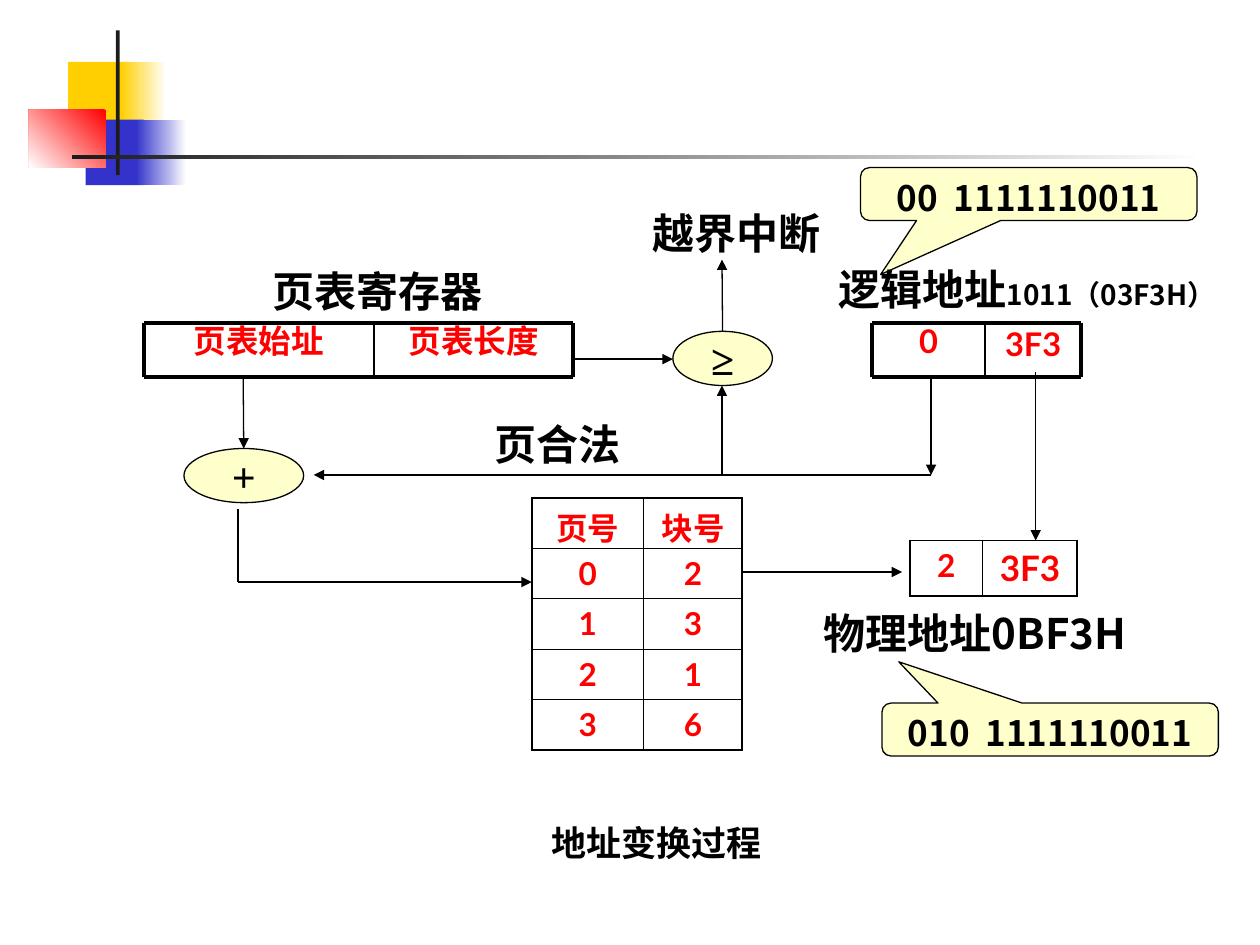
from lxml import etree
from pptx import Presentation
from pptx.dml.color import RGBColor
from pptx.enum import shapes, text
from pptx.oxml import ns
from pptx.util import Inches, Pt

BLACK = RGBColor(0x00, 0x00, 0x00)
WHITE = RGBColor(0xFF, 0xFF, 0xFF)
RED = RGBColor(0xFF, 0x00, 0x00)
YELLOW = RGBColor(0xFF, 0xCF, 0x01)
BLUE = RGBColor(0x33, 0x33, 0xCC)
CHARCOAL = RGBColor(0x1C, 0x1C, 0x1C)
CREAM = RGBColor(0xFF, 0xFF, 0xCC)
SERIF, SANS, CJK = "Times New Roman", "Lato", "Noto Sans CJK SC"
LEFT, CENTER, RIGHT = (text.PP_ALIGN.LEFT, text.PP_ALIGN.CENTER,
                       text.PP_ALIGN.RIGHT)

deck = Presentation()
deck.slide_width, deck.slide_height = Inches(10), Inches(7.5)
page = deck.slides.add_slide(deck.slide_layouts[6])


def write(frame, spans, font, color=BLACK, align=CENTER, spacing=None):
    """Fill a text frame with one bold paragraph of (words, points) spans."""
    para = frame.paragraphs[0]
    para.alignment = align
    if spacing:
        para.line_spacing = spacing
    for words, points in spans:
        span = para.add_run()
        span.text = words
        values = {"name": font, "size": Pt(points), "bold": True}
        for key, value in values.items():
            setattr(span.font, key, value)
        span.font.color.rgb = color
        latin = span.font._element.find(ns.qn("a:latin"))
        latin.addnext(latin.makeelement(ns.qn("a:ea"), {"typeface": CJK}))


def connect(x1, y1, x2, y2, points=0.75, arrow=False):
    line = page.shapes.add_connector(
        shapes.MSO_CONNECTOR.STRAIGHT,
        Inches(x1), Inches(y1), Inches(x2), Inches(y2))
    line.line.color.rgb = BLACK
    line.line.width = Pt(points)
    if arrow:
        etree.SubElement(line.line._get_or_add_ln(), ns.qn("a:tailEnd"),
                         type="triangle")
    etree.SubElement(line._element.spPr, ns.qn("a:effectLst"))
    return line


# Corner decoration: place, gradient stops (one for solid), angle
decoration = [
    ((0.54, 0.49, 0.48, 0.52), [YELLOW], 0),
    ((0.96, 0.49, 0.36, 0.52), [WHITE, YELLOW], 180),
    ((0.68, 0.95, 0.46, 0.52), [BLUE], 0),
    ((1.08, 0.95, 0.4, 0.52), [WHITE, BLUE], 180),
    ((0.23, 0.87, 0.61, 0.46), [RED, WHITE], 225),
    ((0.92, 0.24, 0.03, 1.15), [CHARCOAL], 0),
    ((0.57, 1.23, 9, 0.03), [WHITE, CHARCOAL], 180),
]
for place, colors, angle in decoration:
    block = page.shapes.add_shape(shapes.MSO_SHAPE.RECTANGLE,
                                  *map(Inches, place))
    block.shadow.inherit = False
    block.line.fill.background()
    if len(colors) == 1:
        block.fill.solid()
        block.fill.fore_color.rgb = colors[0]
    else:
        block.fill.gradient()
        block.fill.gradient_angle = angle
        for stop, color in zip(block.fill.gradient_stops, colors):
            stop.color.rgb = color

# Operators and callouts
OVAL = shapes.MSO_SHAPE.OVAL
CALLOUT = shapes.MSO_SHAPE.ROUNDED_RECTANGULAR_CALLOUT
bubbles = [
    (OVAL, (1.46, 3.56, 0.95, 0.43), "+", 24, SERIF, []),
    (OVAL, (5.34, 2.63, 0.79, 0.43), "≥", 24, SERIF, []),
    (CALLOUT, (6.83, 1.33, 2.67, 0.42), "00  1111110011", 20, CJK,
     [-0.44, 1.52, 0.17]),
    (CALLOUT, (7, 5.58, 2.67, 0.42), "010  1111110011", 20, CJK,
     [-0.45, -1.28, 0.17]),
]
drawn = []
for kind, place, words, points, font, adjustments in bubbles:
    bubble = page.shapes.add_shape(kind, *map(Inches, place))
    bubble.shadow.inherit = False
    bubble.fill.solid()
    bubble.fill.fore_color.rgb = CREAM
    bubble.line.color.rgb = BLACK
    bubble.line.width = Pt(0.75)
    for index, value in enumerate(adjustments):
        bubble.adjustments[index] = value
    frame = bubble.text_frame
    frame.word_wrap = kind == CALLOUT
    frame.vertical_anchor = (text.MSO_ANCHOR.TOP if kind == CALLOUT
                             else text.MSO_ANCHOR.MIDDLE)
    write(frame, [(words, points)], font)
    drawn.append(bubble)
adder, comparator = drawn[:2]

# Headings
headings = [
    ((2.67, 6.47, 5.08, 0.44), [("地址变换过程", 20)], SERIF, CENTER),
    ((1.77, 2.06, 2.45, 0.5), [("页表寄存器", 24)], SERIF, CENTER),
    ((6.56, 2.04, 3.44, 0.5), [("逻辑地址", 24), ("1011（03F3H）", 16)],
     CJK, LEFT),
    ((6.44, 4.77, 2.95, 0.5), [("物理地址0BF3H", 24)], CJK, LEFT),
    ((4.62, 1.6, 2.45, 0.5), [("越界中断", 24)], SERIF, CENTER),
    ((3.75, 3.27, 1.27, 0.5), [("页合法", 24)], SERIF, RIGHT),
]
for place, spans, font, align in headings:
    box = page.shapes.add_textbox(*map(Inches, place))
    box.text_frame.word_wrap = True
    box.text_frame.auto_size = text.MSO_AUTO_SIZE.SHAPE_TO_FIT_TEXT
    write(box.text_frame, spans, font, align=align)

# Registers: column edges and (words, line spacing) of each cell
TOP, BOTTOM = 2.56, 2.99
registers = [
    ((1.14, 2.97, 4.55), [("页表始址", 0.8), ("页表长度", 0.8)]),
    ((6.92, 7.82, 8.58), [("0", 0.8), ("3F3", 0.9)]),
]
for edges, cells in registers:
    for left, right, (words, spacing) in zip(edges, edges[1:], cells):
        box = page.shapes.add_textbox(Inches(left), Inches(TOP),
                                      Inches(right - left),
                                      Inches(BOTTOM - TOP))
        box.text_frame.word_wrap = True
        write(box.text_frame, [(words, 18.6)], SANS, RED, spacing=spacing)
    for y in (TOP, BOTTOM):
        connect(edges[0], y, edges[-1], y, 2.25)
    for x, points in zip(edges, (2.25, 1, 2.25)):
        connect(x, TOP, x, BOTTOM, points)

# Data flow
connect(1.93, BOTTOM, 1.93, 3.56, arrow=True).end_connect(adder, 0)
connect(5.73, 2.63, 5.73, 2.06, arrow=True).begin_connect(comparator, 0)
connect(1.89, 4.04, 1.89, 4.62)
for ends in [(7.39, BOTTOM, 7.39, 3.77), (7.39, 3.77, 2.49, 3.77),
             (1.89, 4.62, 4.22, 4.62), (5.73, 3.77, 5.73, 3.06),
             (4.55, 2.85, 5.34, 2.85), (5.89, 4.54, 7.16, 4.54),
             (8.22, 2.95, 8.22, 4.29)]:
    connect(*ends, arrow=True)

# Page table and physical address
tables = [
    ((4.22, 3.95), (0.89, 0.78), 0.4,
     [("页号", "块号"), ("0", "2"), ("1", "3"), ("2", "1"), ("3", "6")]),
    ((7.22, 4.29), (0.58, 0.75), 0.44, [("2", "3F3")]),
]
for (left, top), widths, height, rows in tables:
    table = page.shapes.add_table(
        len(rows), len(widths), Inches(left), Inches(top),
        Inches(sum(widths)), Inches(height * len(rows))).table
    table.first_row = table.horz_banding = False
    for column, width in zip(table.columns, widths):
        column.width = Inches(width)
    for r, row in enumerate(rows):
        table.rows[r].height = Inches(height)
        for c, words in enumerate(row):
            cell = table.cell(r, c)
            cell.margin_bottom = 0
            write(cell.text_frame, [(words, 20 if words == "3F3" else 18)],
                  SANS, RED)
            outer = {"lnL": c == 0, "lnR": c == len(row) - 1,
                     "lnT": r == 0, "lnB": r == len(rows) - 1}
            for side, is_outer in outer.items():
                border = etree.SubElement(
                    cell._tc.get_or_add_tcPr(), ns.qn("a:" + side),
                    w=str(Pt(1.08 if is_outer else 0.45)))
                paint = etree.SubElement(border, ns.qn("a:solidFill"))
                etree.SubElement(paint, ns.qn("a:srgbClr"), val=str(BLACK))
            cell.fill.background()

deck.save("out.pptx")
